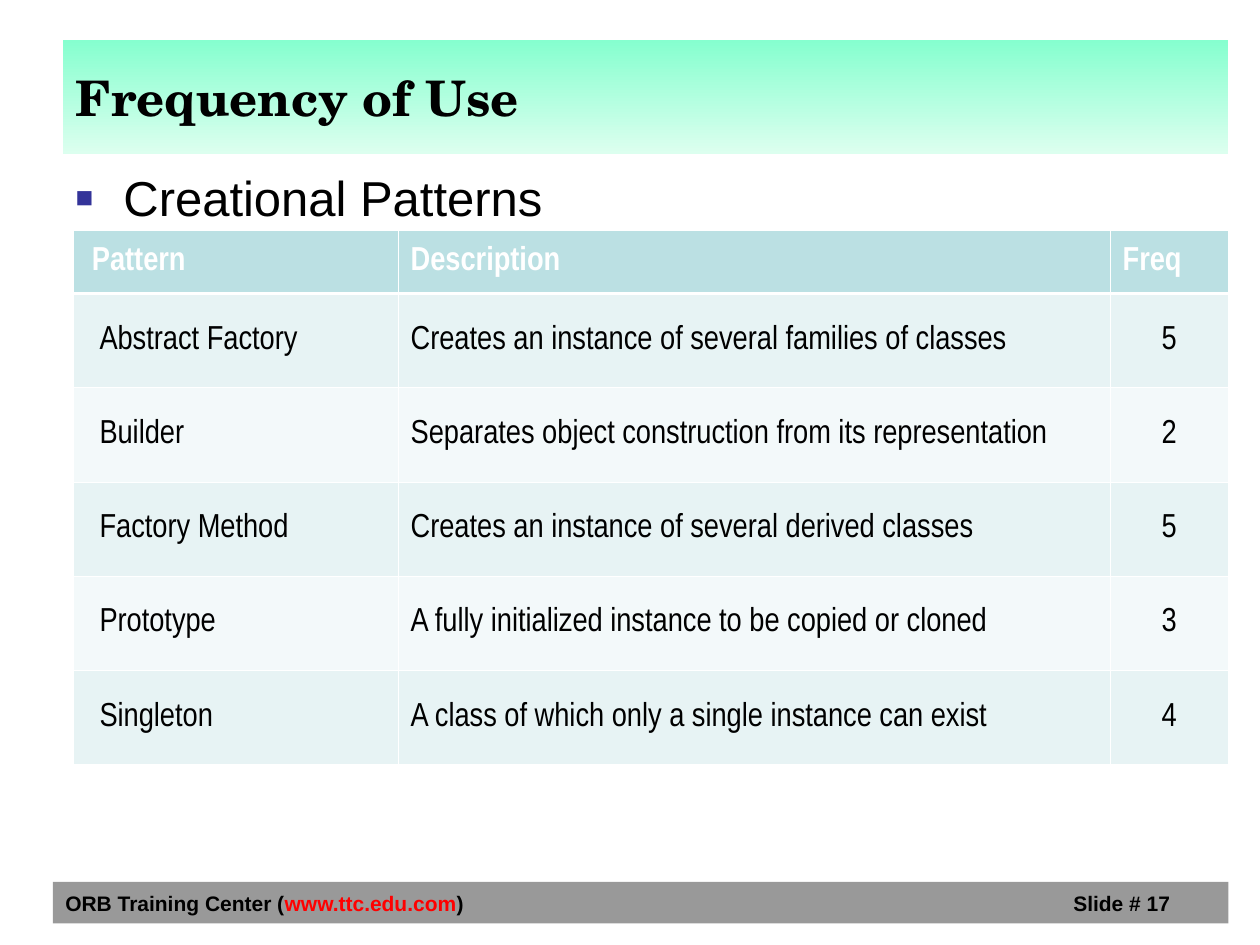
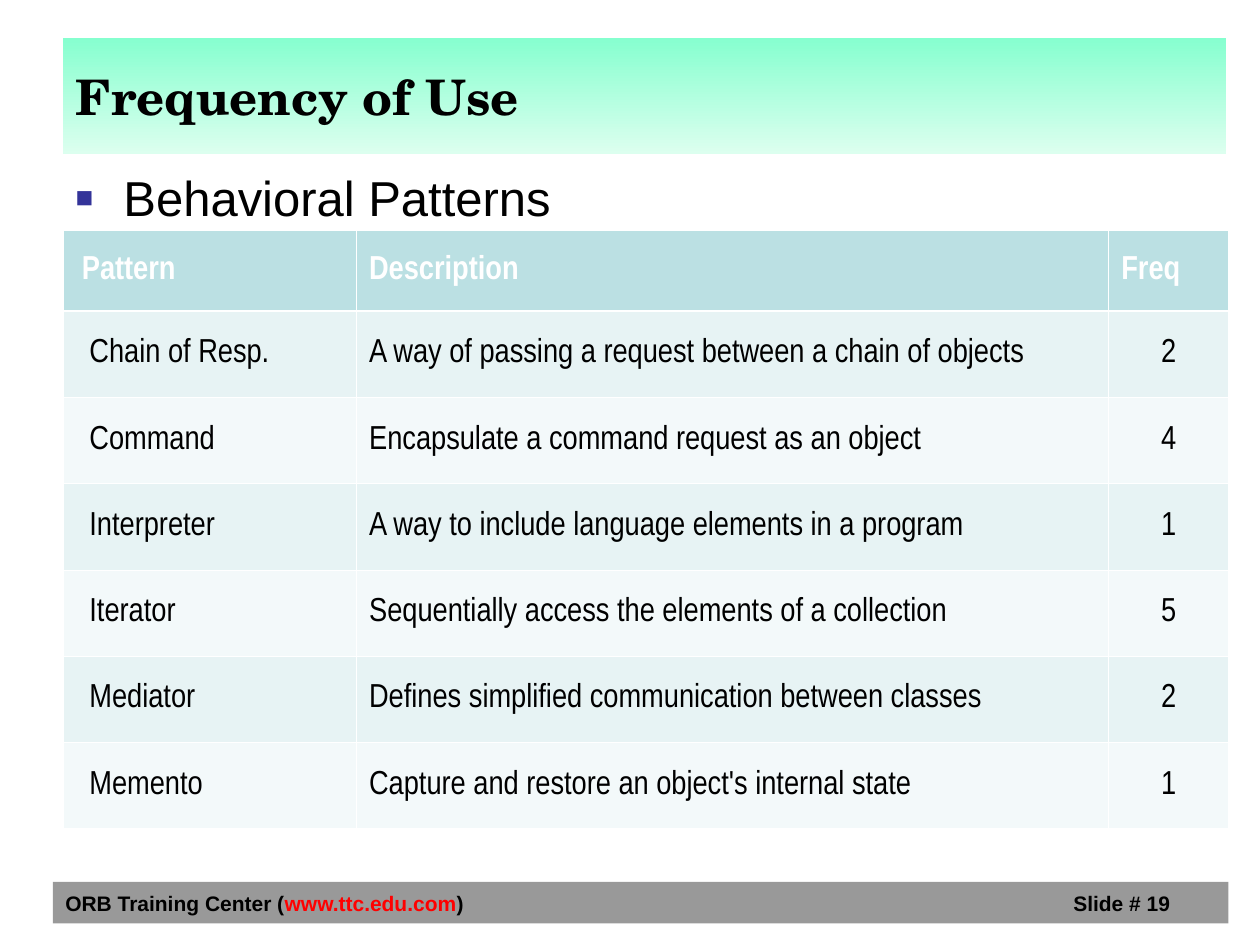
from pptx import Presentation
from pptx.dml.color import RGBColor
from pptx.enum.shapes import MSO_SHAPE
from pptx.enum.text import MSO_ANCHOR, MSO_AUTO_SIZE, PP_ALIGN
from pptx.oxml import parse_xml
from pptx.oxml.ns import nsdecls
from pptx.util import Pt

PX = 9144
C = {
    "black": "000000", "white": "FFFFFF", "red": "FF0000", "gray": "999999",
    "bullet": "333399", "mint": "86FFCF", "pale_mint": "DCFFEF",
    "header": "BBE0E3", "band": "E7F3F4", "light_band": "F3F9FA",
}
HEADINGS = ("Pattern", "Description", "Freq")
SLIDES = [
    {
        "number": 17, "subject": "Creational Patterns",
        "title_box": (50, 32, 925, 90), "table_box": (58, 183, 917, 424),
        "columns": (258, 565, 94), "header_height": 50,
        "rows": [
            ("Abstract Factory", "Creates an instance of several families of classes", "5"),
            ("Builder", "Separates object construction from its representation", "2"),
            ("Factory Method", "Creates an instance of several derived classes", "5"),
            ("Prototype", "A fully initialized instance to be copied or cloned", "3"),
            ("Singleton", "A class of which only a single instance can exist", "4"),
        ],
    },
    {
        "number": 19, "subject": "Behavioral Patterns",
        "title_box": (50, 30, 923, 92), "table_box": (50, 183, 925, 475),
        "columns": (233, 597, 95), "header_height": 64,
        "rows": [
            ("Chain of Resp.", "A way of passing a request between a chain of objects", "2"),
            ("Command", "Encapsulate a command request as an object", "4"),
            ("Interpreter", "A way to include language elements in a program", "1"),
            ("Iterator", "Sequentially access the elements of a collection", "5"),
            ("Mediator", "Defines simplified communication between classes", "2"),
            ("Memento", "Capture and restore an object's internal state", "1"),
        ],
    },
]


def write(p, text, font="Arial", size=12, color="black", bold=False, align=PP_ALIGN.LEFT):
    p.alignment = align
    p.space_before = Pt(0)
    r = p.add_run()
    r.text = text
    r.font.name = font
    r.font.size = Pt(size)
    r.font.bold = bold
    r.font.color.rgb = RGBColor.from_string(C[color])


def place(sp, box):
    sp.left, sp.top, sp.width, sp.height = [v * PX for v in box]


prs = Presentation()
prs.slide_width, prs.slide_height = 1000 * PX, 750 * PX

for page in SLIDES:
    s = prs.slides.add_slide(prs.slide_layouts[1])

    bar = s.shapes.add_shape(MSO_SHAPE.RECTANGLE, *[v * PX for v in (42, 700, 933, 33)])
    bar.shadow.inherit = False
    bar.fill.solid()
    bar.fill.fore_color.rgb = RGBColor.from_string(C["gray"])
    bar.line.fill.background()
    tf = bar.text_frame
    tf.word_wrap = True
    tf.vertical_anchor = MSO_ANCHOR.MIDDLE
    p = tf.paragraphs[0]
    p._p.get_or_add_pPr().append(parse_xml(
        f'<a:tabLst {nsdecls("a")}><a:tab pos="{800 * PX}" algn="l"/></a:tabLst>'))
    write(p, "ORB Training Center (", bold=True)
    write(p, "www.ttc.edu.com", color="red", bold=True)
    write(p, f")\tSlide # {page['number']}", bold=True)

    title = s.shapes.title
    place(title, page["title_box"])
    title.fill.gradient()
    title.fill.gradient_angle = 270
    for stop, position, color in zip(title.fill.gradient_stops, (0, 1), ("mint", "pale_mint")):
        stop.position = position
        stop.color.rgb = RGBColor.from_string(C[color])
    tf = title.text_frame
    tf.auto_size = MSO_AUTO_SIZE.NONE
    tf.vertical_anchor = MSO_ANCHOR.MIDDLE
    write(tf.paragraphs[0], "Frequency of Use", font="TeX Gyre Schola", size=28, bold=True)

    x, y, w, h = page["table_box"]
    rows = [HEADINGS] + page["rows"]
    frame = s.shapes.add_table(len(rows), 3, x * PX, y * PX, w * PX, h * PX)
    table = frame.table
    for column, width in zip(table.columns, page["columns"]):
        column.width = width * PX
    row_height = (h - page["header_height"]) * PX // len(page["rows"])
    for i, row in enumerate(rows):
        table.rows[i].height = row_height if i else page["header_height"] * PX
        fill = ("light_band" if i % 2 == 0 else "band") if i else "header"
        for j, text in enumerate(row):
            cell = table.cell(i, j)
            cell.vertical_anchor = MSO_ANCHOR.MIDDLE
            cell.margin_left = (10 if j else 21 if i else 15) * PX
            cell.margin_right = 10 * PX
            cell.fill.solid()
            cell.fill.fore_color.rgb = RGBColor.from_string(C[fill])
            tcPr = cell._tc.get_or_add_tcPr()
            for k, side in enumerate("LRTB"):
                thick = (i, side) in ((0, "B"), (1, "T"))
                tcPr.insert(k, parse_xml(
                    f'<a:ln{side} {nsdecls("a")} w="{Pt(1.47 if thick else 0.45)}">'
                    f'<a:solidFill><a:srgbClr val="{C["white"]}"/></a:solidFill></a:ln{side}>'))
            write(cell.text_frame.paragraphs[0], text, font="Arial Narrow", size=19,
                  color="black" if i else "white", bold=i == 0,
                  align=PP_ALIGN.CENTER if i and j == 2 else PP_ALIGN.LEFT)

    body = s.placeholders[1]
    place(body, (50, 125, 908, 75))
    tf = body.text_frame
    tf.auto_size = MSO_AUTO_SIZE.NONE
    tf.margin_top = 8 * PX
    p = tf.paragraphs[0]
    pPr = p._p.get_or_add_pPr()
    pPr.set("marL", str(38 * PX))
    pPr.set("indent", str(-38 * PX))
    for tag in (f'buClr {nsdecls("a")}><a:srgbClr val="{C["bullet"]}"/></a:buClr>',
                f'buSzPct {nsdecls("a")} val="60000"/>',
                f'buFont {nsdecls("a")} typeface="Arial"/>',
                f'buChar {nsdecls("a")} char="■"/>'):
        pPr.append(parse_xml("<a:" + tag))
    write(p, page["subject"], size=28)

prs.save("out.pptx")
